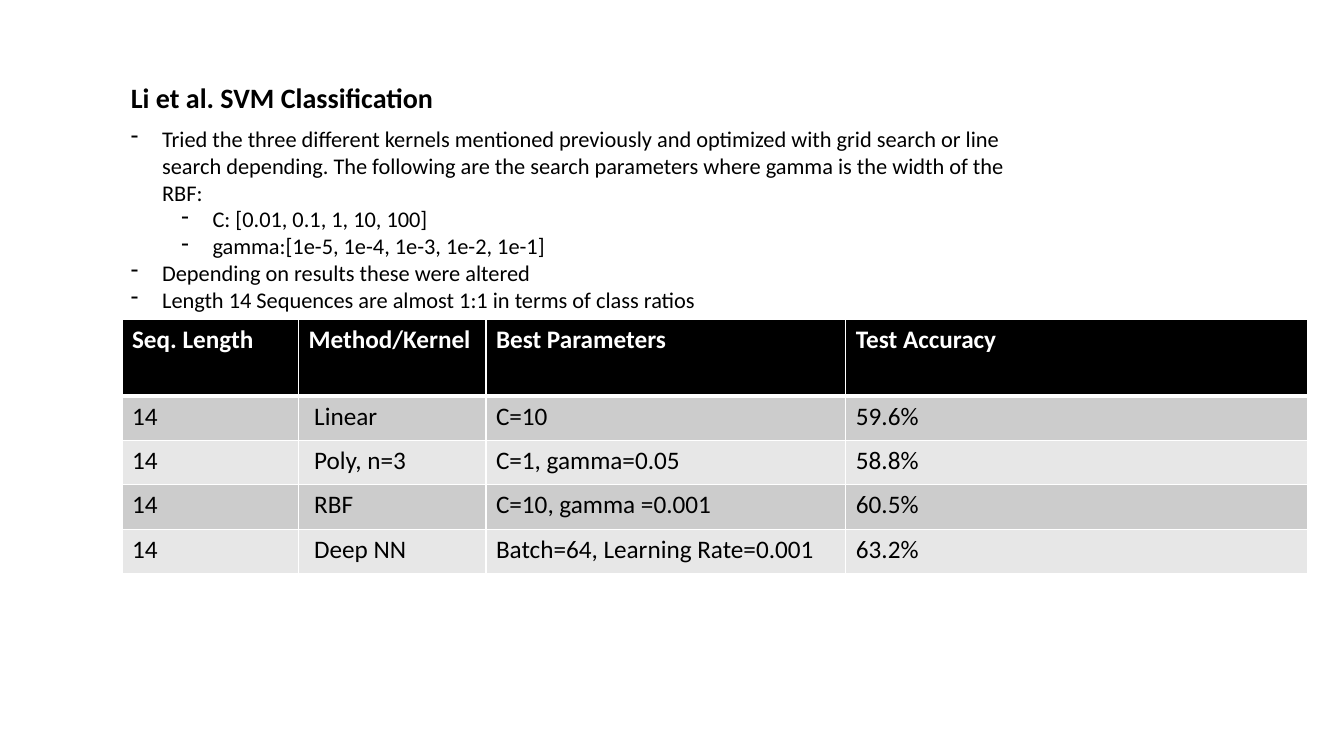
from lxml.etree import SubElement
from pptx import Presentation
from pptx.dml.color import RGBColor
from pptx.enum.text import MSO_AUTO_SIZE
from pptx.oxml import parse_xml
from pptx.oxml.ns import nsdecls, qn
from pptx.util import Inches, Pt

TITLE = "Li et al. SVM Classification"
NOTES = [
    (0, "Tried the three different kernels mentioned previously and optimized with "
        "grid search or line search depending. The following are the search "
        "parameters where gamma is the width of the RBF:"),
    (1, "C: [0.01, 0.1, 1, 10, 100]"),
    (1, "gamma:[1e-5, 1e-4, 1e-3, 1e-2, 1e-1]"),
    (0, "Depending on results these were altered"),
    (0, "Length 14 Sequences are almost 1:1 in terms of class ratios"),
]
ROWS = [
    ("Seq. Length", "Method/Kernel", "Best Parameters", "Test Accuracy"),
    ("14", " Linear", "C=10", "59.6%"),
    ("14", " Poly, n=3", "C=1, gamma=0.05", "58.8%"),
    ("14", " RBF", "C=10, gamma =0.001", "60.5%"),
    ("14", " Deep NN", "Batch=64, Learning Rate=0.001", "63.2%"),
]
WIDTHS = [1.75, 1.86, 3.57, 4.58]
HEAD, BODY = 0.76, 0.44
LEFT, TOP = 1.21, 3.17
INDENT, STEP = 0.31, 0.5

THEME = {
    "font": "Calibri",
    "ink": "000000",
    "paper": "FFFFFF",
    "bands": ("E7E7E7", "CCCCCC"),
    "title": {"size": Pt(20), "bold": True},
    "note": {"size": Pt(16), "bold": False},
    "head": {"size": Pt(18), "bold": True},
    "cell": {"size": Pt(18), "bold": False},
}


def write(para, text, style, color=THEME["ink"]):
    run = para.add_run()
    run.text = text
    for key, value in {"name": THEME["font"], **THEME[style]}.items():
        setattr(run.font, key, value)
    run.font.color.rgb = RGBColor.from_string(color)


def add_box(slide, top, width, height):
    box = slide.shapes.add_textbox(*map(Inches, (1.2, top, width, height)))
    frame = box.text_frame
    frame.word_wrap = True
    frame.auto_size = MSO_AUTO_SIZE.SHAPE_TO_FIT_TEXT
    return frame


def add_notes(frame):
    for i, (level, text) in enumerate(NOTES):
        para = frame.add_paragraph() if i else frame.paragraphs[0]
        para.level = level
        props = para._p.get_or_add_pPr()
        props.set("marL", str(Inches(INDENT + STEP * level)))
        props.set("indent", str(-Inches(INDENT)))
        SubElement(props, qn("a:buFontTx"))
        SubElement(props, qn("a:buChar")).set("char", "-")
        write(para, text, "note")


def add_edges(cell, row):
    edges = {"L": 1, "R": 1, "T": 3 if row == 1 else 1, "B": 1 if row else 3}
    props = cell._tc.get_or_add_tcPr()
    for i, (side, width) in enumerate(edges.items()):
        props.insert(i, parse_xml(
            f'<a:ln{side} {nsdecls("a")} w="{Pt(width)}"><a:solidFill>'
            f'<a:srgbClr val="{THEME["paper"]}"/></a:solidFill></a:ln{side}>'))


def add_grid(slide):
    heights = [HEAD] + [BODY] * (len(ROWS) - 1)
    place = map(Inches, (LEFT, TOP, sum(WIDTHS), sum(heights)))
    table = slide.shapes.add_table(len(ROWS), len(WIDTHS), *place).table
    for col, width in zip(table.columns, WIDTHS):
        col.width = Inches(width)
    for r, (texts, height) in enumerate(zip(ROWS, heights)):
        table.rows[r].height = Inches(height)
        fill = THEME["bands"][r % 2] if r else THEME["ink"]
        style, color = ("cell", THEME["ink"]) if r else ("head", THEME["paper"])
        for c, text in enumerate(texts):
            cell = table.cell(r, c)
            cell.fill.solid()
            cell.fill.fore_color.rgb = RGBColor.from_string(fill)
            add_edges(cell, r)
            write(cell.text_frame.paragraphs[0], text, style, color)


def main():
    deck = Presentation()
    deck.slide_width, deck.slide_height = Inches(13.33), Inches(7.5)
    slide = deck.slides.add_slide(deck.slide_layouts[6])
    write(add_box(slide, 0.75, 4.65, 0.44).paragraphs[0], TITLE, "title")
    add_notes(add_box(slide, 1.19, 8.99, 1.99))
    add_grid(slide)
    deck.save("out.pptx")


if __name__ == "__main__":
    main()
